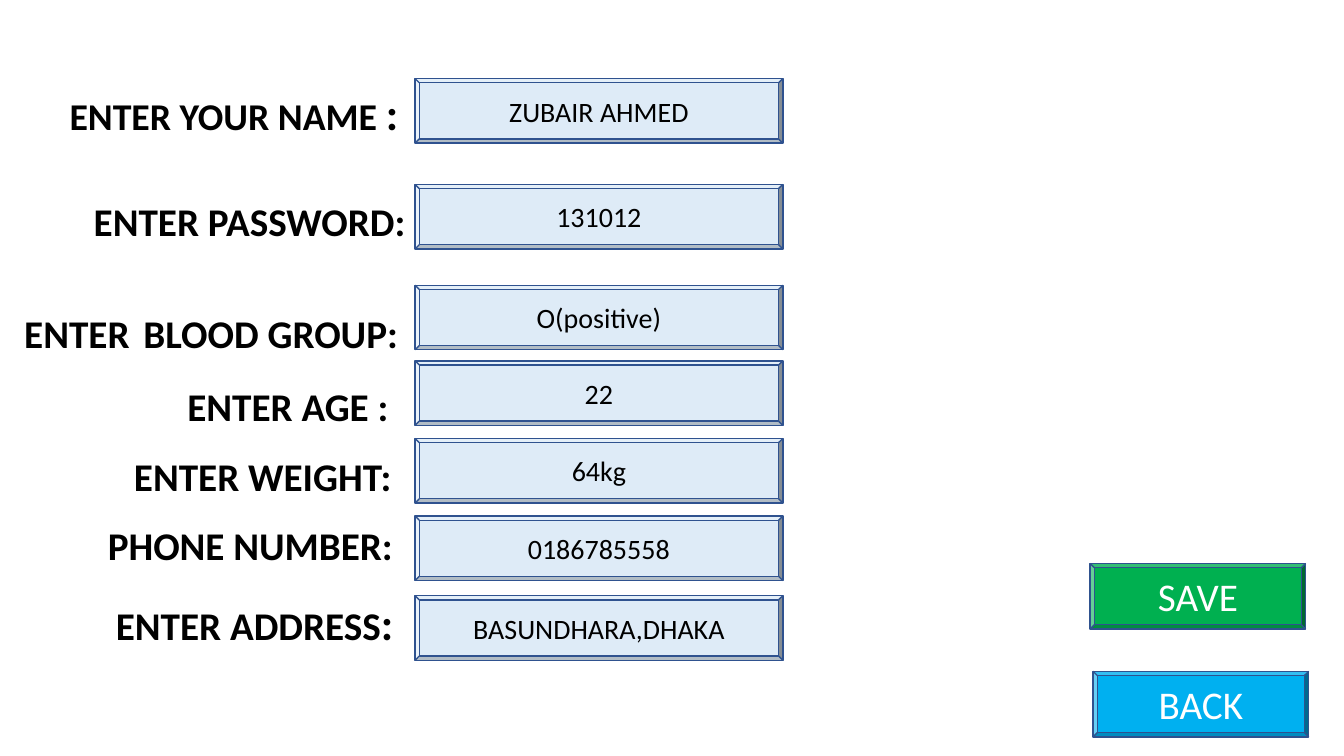
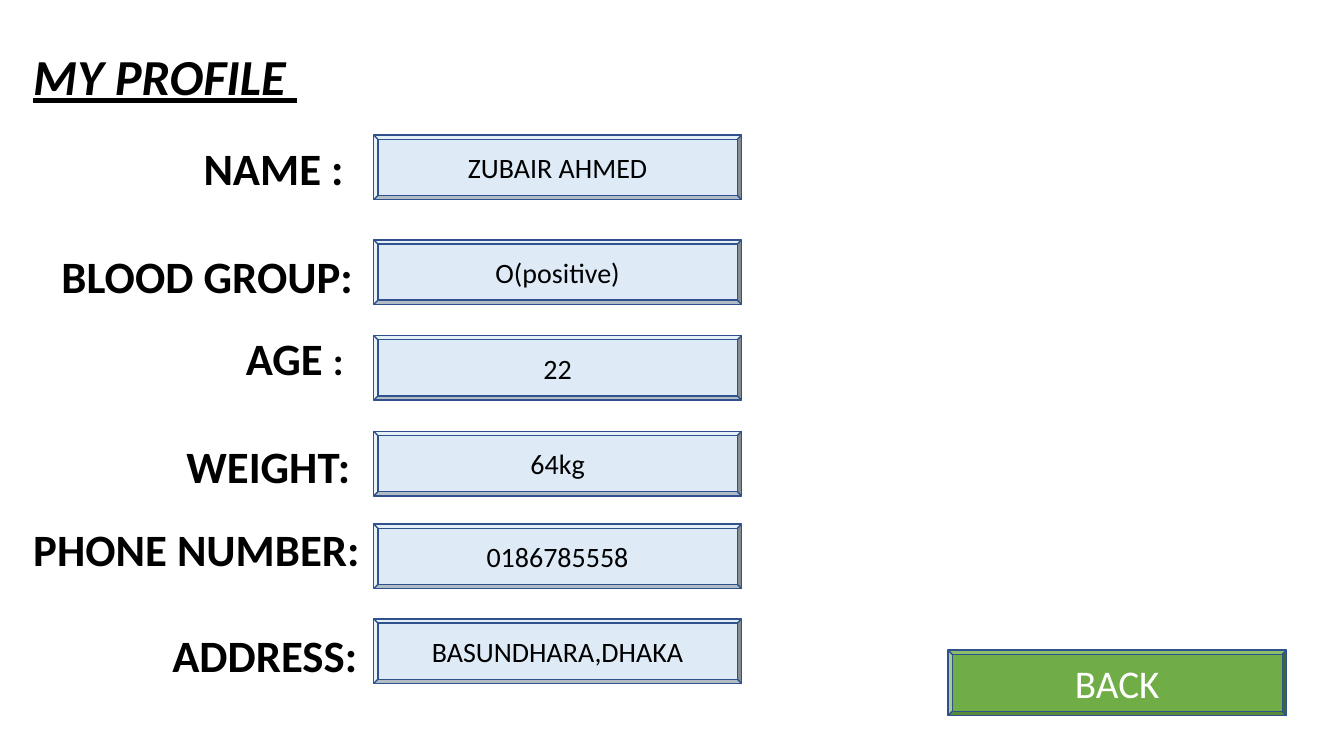
import pptx
import pptx.util
import pptx.dml.color
import pptx.enum.shapes
import pptx.enum.text

Inches = pptx.util.Inches
Pt = pptx.util.Pt
RGBColor = pptx.dml.color.RGBColor
Align = pptx.enum.text.PP_ALIGN
Anchor = pptx.enum.text.MSO_ANCHOR

BLACK = RGBColor(0x00, 0x00, 0x00)
WHITE = RGBColor(0xFF, 0xFF, 0xFF)
PALE = RGBColor(0xDE, 0xEB, 0xF7)
NAVY = RGBColor(0x2F, 0x52, 0x8F)
SKY = RGBColor(0x00, 0xB0, 0xF0)
GREEN = RGBColor(0x00, 0xB0, 0x50)
LEAF = RGBColor(0x70, 0xAD, 0x47)

FONT = "Calibri"
ASCENT = 0.96
DESCENT = 0.26

NAME = "ZUBAIR AHMED"
CODE = "131012"
BLOOD = "O(positive)"
AGE = "22"
WEIGHT = "64kg"
PHONE = "0186785558"
PLACE = "BASUNDHARA,DHAKA"


def write(para, text, size=20, color=BLACK, bold=False, slant=False):
    run = para.add_run()
    run.text = text
    font = run.font
    font.name = FONT
    font.size = Pt(size)
    font.color.rgb = color
    font.bold = bold
    font.italic = slant
    font.underline = slant


class Form:
    def __init__(self):
        self.deck = pptx.Presentation()
        self.deck.slide_width = Inches(13.34)
        self.deck.slide_height = Inches(7.5)
        self.slide = None

    def start(self):
        self.slide = self.deck.slides.add_slide(self.deck.slide_layouts[5])

    def labels(self, left, top, width, height, rows):
        title = self.slide.shapes.title
        title.left, title.top = Inches(left), Inches(top)
        title.width, title.height = Inches(width), Inches(height)
        frame = title.text_frame
        frame.auto_size = pptx.enum.text.MSO_AUTO_SIZE.NONE
        frame.word_wrap = True
        frame.vertical_anchor = Anchor.TOP
        frame.margin_left = frame.margin_right = frame.margin_bottom = 0
        last = None
        for start, base, parts, slant in rows:
            tall = max(size for text, size in parts)
            if last is None:
                para = frame.paragraphs[0]
                frame.margin_top = Inches(base - top) - Pt(ASCENT * tall)
            else:
                para = frame.add_paragraph()
                step, drop = base - last[0], DESCENT * last[1]
                para.space_before = Pt(round(step * 72 - drop - ASCENT * tall, 1))
            para.alignment = Align.LEFT
            para.line_spacing = 1.0
            para._p.get_or_add_pPr().set("marL", str(Inches(start - left)))
            for text, size in parts:
                write(para, text, size=size, bold=True, slant=slant)
            last = base, tall

    def bevel(self, left, top, width, height, text, fill, size=20, color=BLACK):
        box = self.slide.shapes.add_shape(
            pptx.enum.shapes.MSO_SHAPE.BEVEL,
            Inches(left), Inches(top), Inches(width), Inches(height))
        box.adjustments[0] = 0.065
        box.shadow.inherit = False
        box.fill.solid()
        box.fill.fore_color.rgb = fill
        box.line.color.rgb = NAVY
        box.line.width = Pt(1)
        frame = box.text_frame
        frame.word_wrap = True
        frame.vertical_anchor = Anchor.MIDDLE
        para = frame.paragraphs[0]
        para.alignment = Align.CENTER
        write(para, text, size=size, color=color)

    def fields(self, left, items):
        for top, text in items:
            self.bevel(left, top, 3.65, 0.64, text, PALE)

    def button(self, left, top, width, text, fill):
        self.bevel(left, top, width, 0.65, text, fill, size=28, color=WHITE)


def entry(form):
    form.start()
    form.labels(0, 0.01, 8.24, 7.02, [
        (0.69, 1.28, [("ENTER YOUR NAME ", 27), (":", 32)], False),
        (0.93, 2.34, [("ENTER PASSWORD:", 28)], False),
        (0.24, 3.45, [("ENTER", 28), (" ", 44), ("BLOOD GROUP:", 28)], False),
        (1.86, 4.19, [("ENTER AGE :", 28)], False),
        (1.33, 4.9, [("ENTER WEIGHT:", 28)], False),
        (1.07, 5.59, [("PHONE NUMBER:", 28)], False),
        (1.15, 6.39, [("ENTER ADDRESS", 28), (":", 32)], False),
    ])
    form.fields(4.12, [
        (0.78, NAME), (1.83, CODE), (2.83, BLOOD), (3.58, AGE),
        (4.35, WEIGHT), (5.12, PHONE), (5.91, PLACE),
    ])
    form.button(10.85, 6.66, 2.14, "BACK", SKY)
    form.button(10.82, 5.59, 2.14, "SAVE", GREEN)


def profile(form):
    form.start()
    form.labels(0.23, 0.19, 7.84, 6.58, [
        (0.33, 0.93, [("MY PROFILE ", 36)], True),
        (2.02, 1.83, [("NAME :", 32)], False),
        (0.61, 2.91, [("BLOOD GROUP:", 32)], False),
        (2.44, 3.74, [("AGE ", 32), (":", 28)], False),
        (1.85, 4.82, [("WEIGHT:", 32)], False),
        (0.33, 5.65, [("PHONE NUMBER:", 32)], False),
        (1.71, 6.71, [("ADDRESS:", 32)], False),
    ])
    form.fields(3.71, [
        (1.34, NAME), (2.38, BLOOD), (3.33, AGE),
        (4.28, WEIGHT), (5.2, PHONE), (6.14, PLACE),
    ])
    form.button(9.41, 6.45, 3.36, "BACK", LEAF)


def main():
    form = Form()
    entry(form)
    profile(form)
    form.deck.save("out.pptx")


if __name__ == "__main__":
    main()
